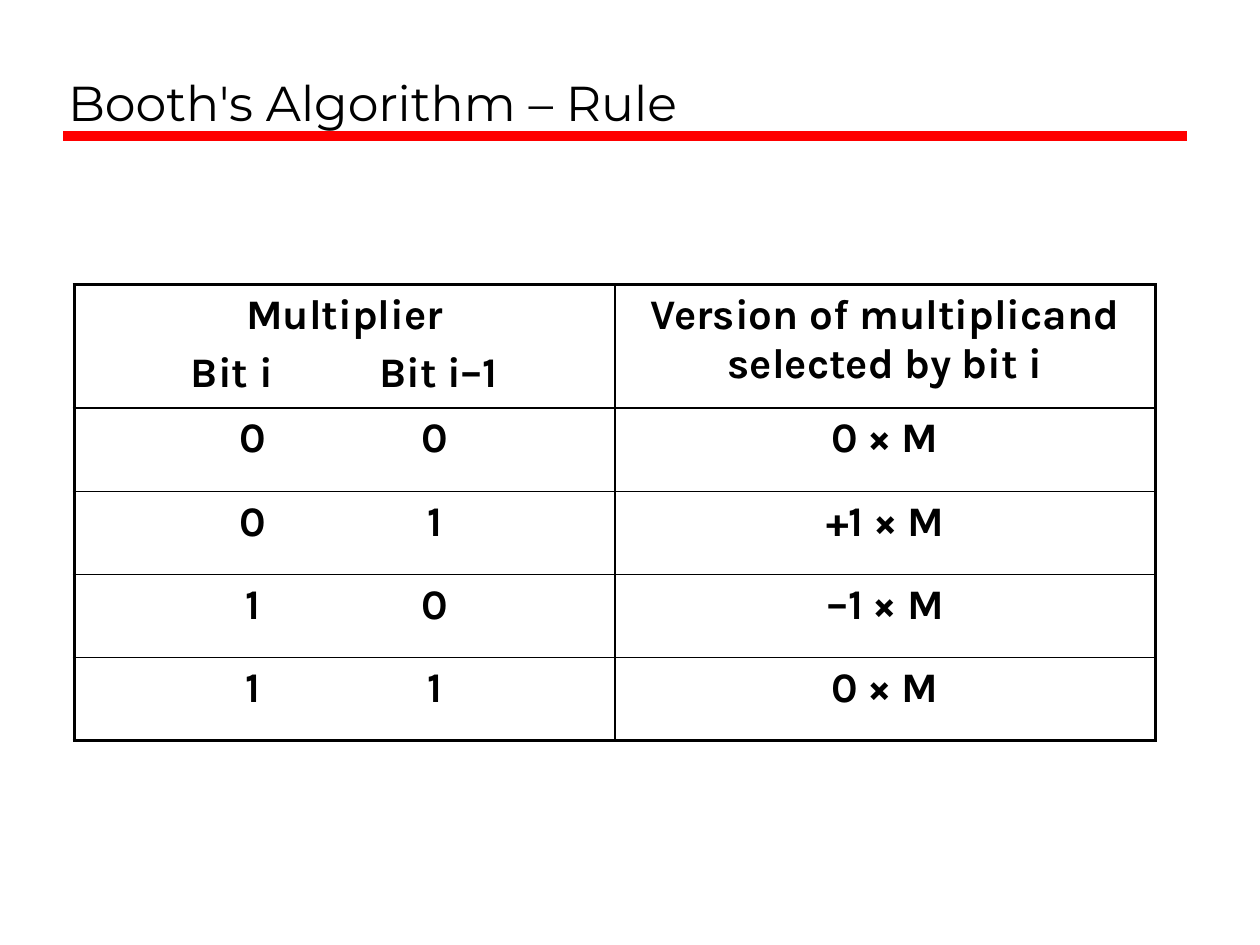
from lxml.etree import SubElement
from pptx import Presentation
from pptx.dml.color import RGBColor
from pptx.enum.shapes import MSO_CONNECTOR
from pptx.enum.text import MSO_ANCHOR, MSO_AUTO_SIZE, PP_ALIGN
from pptx.oxml.ns import qn
from pptx.util import Inches, Pt

COLORS = {"text": "000000", "rule": "FF0000", "border": "000000"}
HEADER_TABS = (1.15, 2.79)
DIGIT_TABS = (1.32, 2.76)
ROWS = [
    (["Multiplier", "\tBit i\tBit i–1"], "Version of multiplicand selected by bit i"),
    (["\t0\t0"], "0 × M"),
    (["\t0\t1"], "+1 × M"),
    (["\t1\t0"], "–1 × M"),
    (["\t1\t1"], "0 × M"),
]


def rgb(name):
    return RGBColor.from_string(COLORS[name])


def style_font(font, name, size, bold=False):
    font.name = name
    font.size = Pt(size)
    font.bold = bold
    font.color.rgb = rgb("text")


def add_title(s, text):
    sp = s.shapes.title
    sp.left, sp.top = Inches(0.44), Inches(0.17)
    sp.width, sp.height = Inches(8.97), Inches(0.92)
    tf = sp.text_frame
    tf.text = text
    tf.word_wrap = True
    tf.auto_size = MSO_AUTO_SIZE.NONE
    tf.vertical_anchor = MSO_ANCHOR.BOTTOM
    p = tf.paragraphs[0]
    p.alignment = PP_ALIGN.LEFT
    style_font(p.runs[0].font, "Montserrat", 28)


def add_rule(s):
    line = s.shapes.add_connector(
        MSO_CONNECTOR.STRAIGHT, Inches(0.5), Inches(1.08), Inches(9.42), Inches(1.08)
    )
    line.line.color.rgb = rgb("rule")
    line.line.width = Pt(6)
    SubElement(line._element.spPr, qn("a:effectLst"))


def set_tabs(p, stops):
    tabs = SubElement(p._p.get_or_add_pPr(), qn("a:tabLst"))
    for stop in stops:
        SubElement(tabs, qn("a:tab"), pos=str(Inches(stop)), algn="ctr")


def set_borders(cell, widths):
    tcPr = cell._tc.get_or_add_tcPr()
    for side, width in widths.items():
        ln = SubElement(tcPr, qn(f"a:ln{side}"), w=str(Pt(width)))
        fill = SubElement(ln, qn("a:solidFill"))
        SubElement(fill, qn("a:srgbClr"), val=COLORS["border"])


def fill_cell(cell, lines, tabs):
    tf = cell.text_frame
    tf.text = "\n".join(lines)
    for i, p in enumerate(tf.paragraphs):
        tabbed = "\t" in lines[i]
        p.alignment = PP_ALIGN.LEFT if tabbed else PP_ALIGN.CENTER
        if i:
            p.space_before = Pt(5)
        if tabbed:
            set_tabs(p, tabs)
        for r in p.runs:
            style_font(r.font, "Karla", 24, True)


def add_rule_table(s):
    last = len(ROWS) - 1
    table = s.shapes.add_table(
        len(ROWS), 2, Inches(0.59), Inches(2.26), Inches(8.58), Inches(3.62)
    ).table
    table.first_row = False
    table.horz_banding = False
    for i, (bits, version) in enumerate(ROWS):
        table.rows[i].height = Inches(0.66 if i else 0.98)
        for j, lines in enumerate((bits, [version])):
            cell = table.cell(i, j)
            fill_cell(cell, lines, DIGIT_TABS if i else HEADER_TABS)
            set_borders(cell, {
                "L": 1 if j else 2.25,
                "R": 2.25 if j else 1,
                "T": 1 if i else 2.25,
                "B": 2.25 if i == last else 1,
            })
            cell.fill.background()


def main():
    prs = Presentation()
    prs.slide_width, prs.slide_height = Inches(10), Inches(7.5)
    s = prs.slides.add_slide(prs.slide_layouts[5])
    add_rule(s)
    add_title(s, "Booth's Algorithm – Rule")
    add_rule_table(s)
    prs.save("out.pptx")


if __name__ == "__main__":
    main()
